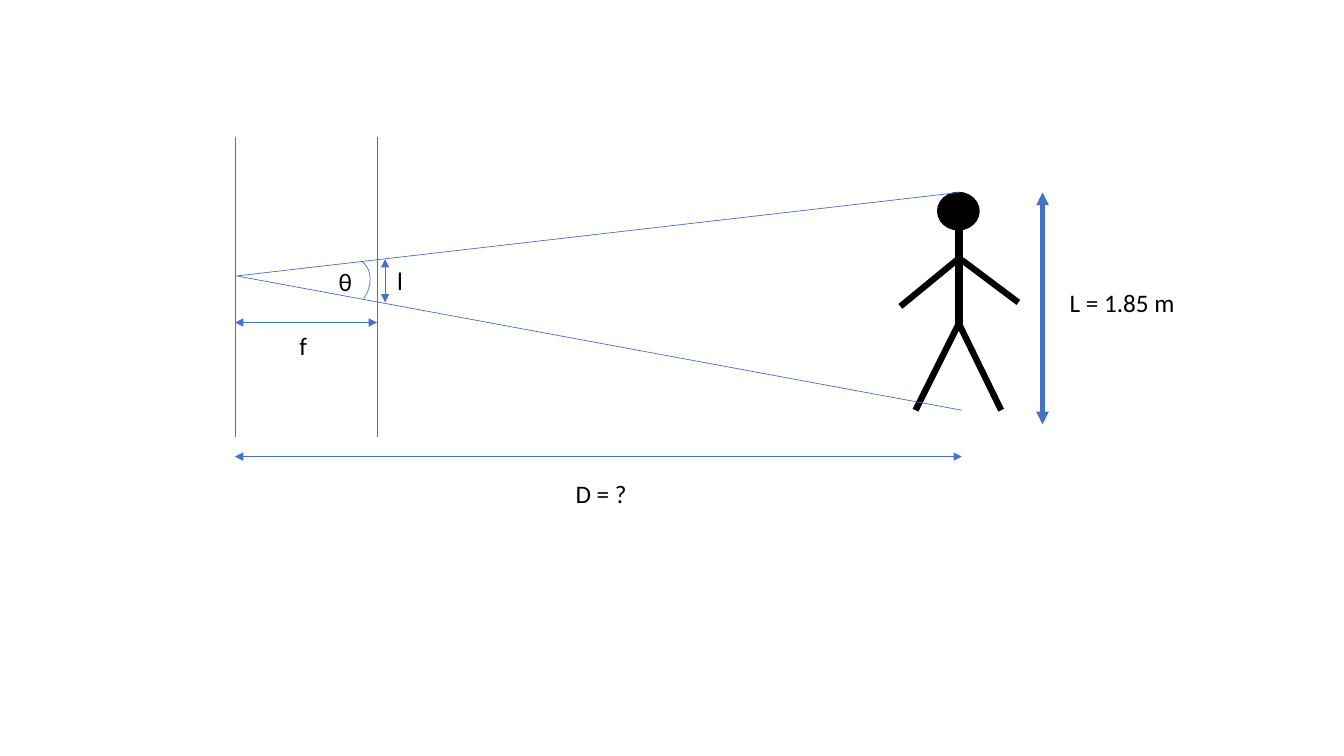
import dataclasses

import lxml.etree
import pptx
import pptx.dml.color
import pptx.enum.dml
import pptx.enum.shapes
import pptx.enum.text
import pptx.oxml.ns
import pptx.util

SLIDE_WIDTH = pptx.util.Inches(13.33)
SLIDE_HEIGHT = pptx.util.Inches(7.5)
COLUMNS, ROWS = 133.3, 75
BLUE, BLACK = "4472C4", "000000"
FONT = "Calibri"

CAMERA, IMAGE_PLANE = 23.3, 37.4
SPINE, SUBJECT = 95.1, 95.4
CROWN, CHIN, SHOULDERS, HIPS, FEET = 19.1, 22.8, 25.8, 32.1, 40.7
APEX = 27.4
PLANE_TOP, PLANE_BOTTOM = 13.6, 43.4
HEIGHT_MARK, IMAGE_MARK = 103.4, 38.2
FOCAL_MARK, DISTANCE_MARK = 32, 45.3


@dataclasses.dataclass
class Stroke:
    begin: tuple[float, float]
    end: tuple[float, float]
    color: str = BLUE
    weight: float = 0.5
    arrows: bool = False


@dataclasses.dataclass
class Label:
    text: str
    column: float
    row: float
    columns: float
    rows: float = 4


BODY = [
    Stroke((SPINE, CHIN), (SPINE, HIPS), BLACK, 6),
    Stroke((SPINE, HIPS), (90.8, FEET), BLACK, 4.5),
    Stroke((SPINE, HIPS), (99.3, FEET), BLACK, 4.5),
    Stroke((94.9, SHOULDERS), (89.3, 30.4), BLACK, 4.5),
    Stroke((SUBJECT, SHOULDERS), (101, 30), BLACK, 4.5),
]
PLANES = [
    Stroke((column, PLANE_TOP), (column, PLANE_BOTTOM))
    for column in (CAMERA, IMAGE_PLANE)
]
RAYS = [
    Stroke((SPINE, CROWN), (CAMERA, APEX)),
    Stroke((SUBJECT, FEET), (23.6, APEX)),
]
DIMENSIONS = [
    Stroke((CAMERA, DISTANCE_MARK), (SUBJECT, DISTANCE_MARK), arrows=True),
    Stroke((HEIGHT_MARK, CROWN), (HEIGHT_MARK, 42.1), weight=3, arrows=True),
    Stroke((IMAGE_MARK, 25.7), (IMAGE_MARK, 30), arrows=True),
    Stroke((CAMERA, FOCAL_MARK), (IMAGE_PLANE, FOCAL_MARK), arrows=True),
]
LABELS = [
    Label("L = 1.85 m", 105.1, 28, 14.4),
    Label("D = ?", 56.1, 47, 31.3),
    Label("l", 38.4, 25.8, 6.1),
    Label("f", 28.7, 32.3, 9.4),
    Label("θ", 32.6, 25.9, 9.9),
]


def across(columns: float) -> int:
    return round(SLIDE_WIDTH * columns / COLUMNS)


def down(rows: float) -> int:
    return round(SLIDE_HEIGHT * rows / ROWS)


def paint(color_format, color: str) -> None:
    color_format.rgb = pptx.dml.color.RGBColor.from_string(color)


def draw_stroke(slide, stroke: Stroke) -> None:
    connector = slide.shapes.add_connector(
        pptx.enum.shapes.MSO_CONNECTOR.STRAIGHT,
        across(stroke.begin[0]), down(stroke.begin[1]),
        across(stroke.end[0]), down(stroke.end[1]),
    )
    connector.line.width = pptx.util.Pt(stroke.weight)
    connector.line.fill.solid()
    paint(connector.line.color, stroke.color)
    properties = connector._element.spPr
    if stroke.arrows:
        outline = properties.find(pptx.oxml.ns.qn("a:ln"))
        for tip in ("a:headEnd", "a:tailEnd"):
            lxml.etree.SubElement(outline, pptx.oxml.ns.qn(tip), type="triangle")
    lxml.etree.SubElement(properties, pptx.oxml.ns.qn("a:effectLst"))


def draw_outline(slide, preset, column: float, row: float, columns: float,
                 rows: float, color: str, weight: float):
    outline = slide.shapes.add_shape(
        preset, across(column), down(row), across(columns), down(rows))
    outline.shadow.inherit = False
    outline.line.width = pptx.util.Pt(weight)
    paint(outline.line.color, color)
    return outline


def draw_label(slide, label: Label) -> None:
    box = slide.shapes.add_textbox(
        across(label.column), down(label.row),
        across(label.columns), down(label.rows))
    frame = box.text_frame
    frame.text = label.text
    frame.word_wrap = True
    frame.auto_size = pptx.enum.text.MSO_AUTO_SIZE.SHAPE_TO_FIT_TEXT
    font = frame.paragraphs[0].runs[0].font
    font.name = FONT
    font.size = pptx.util.Pt(18)
    paint(font.color, BLACK)


def main() -> None:
    presentation = pptx.Presentation()
    presentation.slide_width = SLIDE_WIDTH
    presentation.slide_height = SLIDE_HEIGHT
    slide = presentation.slides.add_slide(presentation.slide_layouts[6])

    presets = pptx.enum.shapes.MSO_SHAPE
    head = draw_outline(
        slide, presets.OVAL, 93, CROWN, 4.1, CHIN - CROWN, BLACK, 1)
    head.fill.solid()
    paint(head.fill.fore_color, BLACK)

    for stroke in BODY + PLANES + RAYS + DIMENSIONS:
        draw_stroke(slide, stroke)

    angle = draw_outline(slide, presets.ARC, 31.9, 25.4, 4.6, 5.8, BLUE, 0.5)
    angle.fill.background()
    angle.rotation = 35.7

    for label in LABELS:
        draw_label(slide, label)

    presentation.save("out.pptx")


if __name__ == "__main__":
    main()
